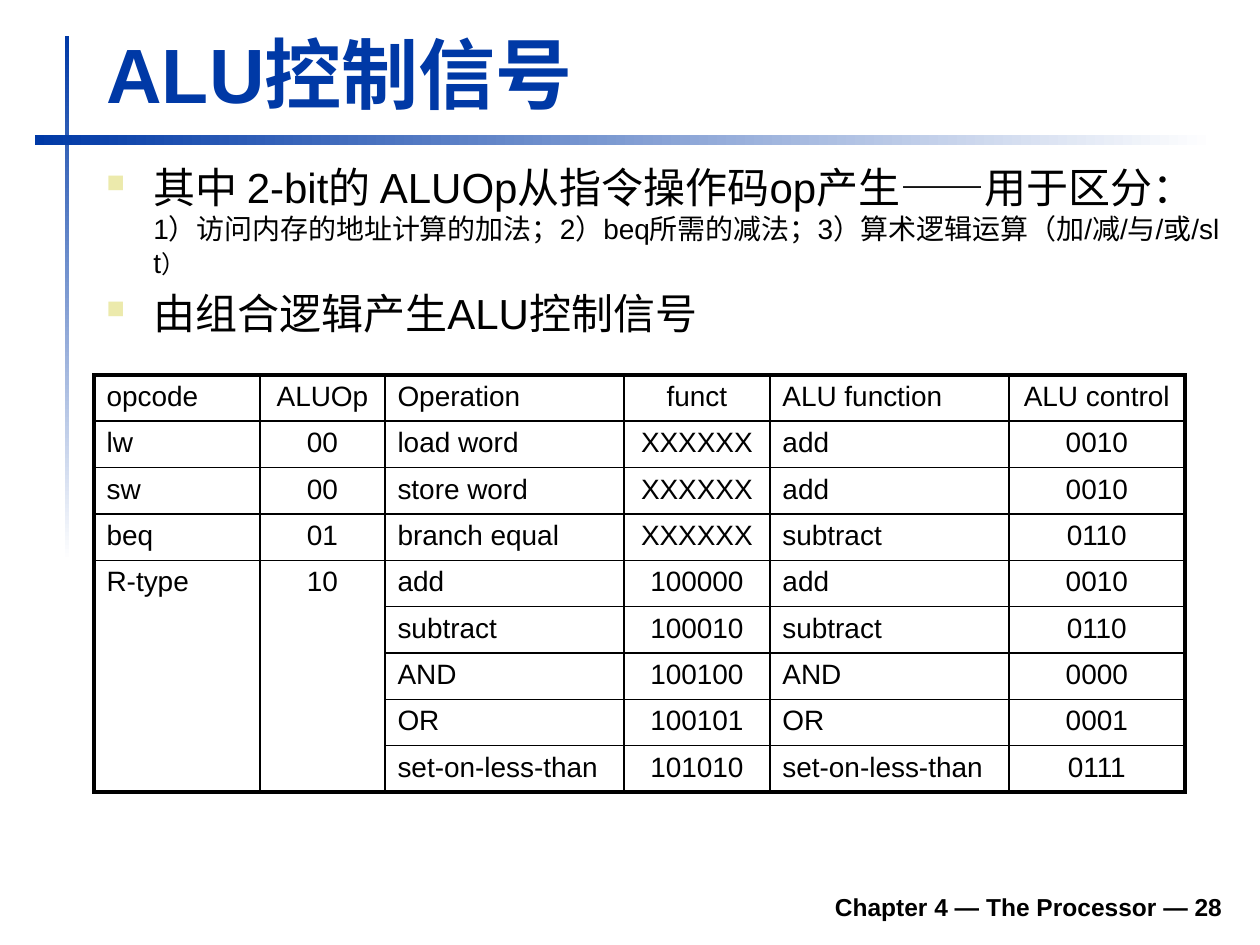
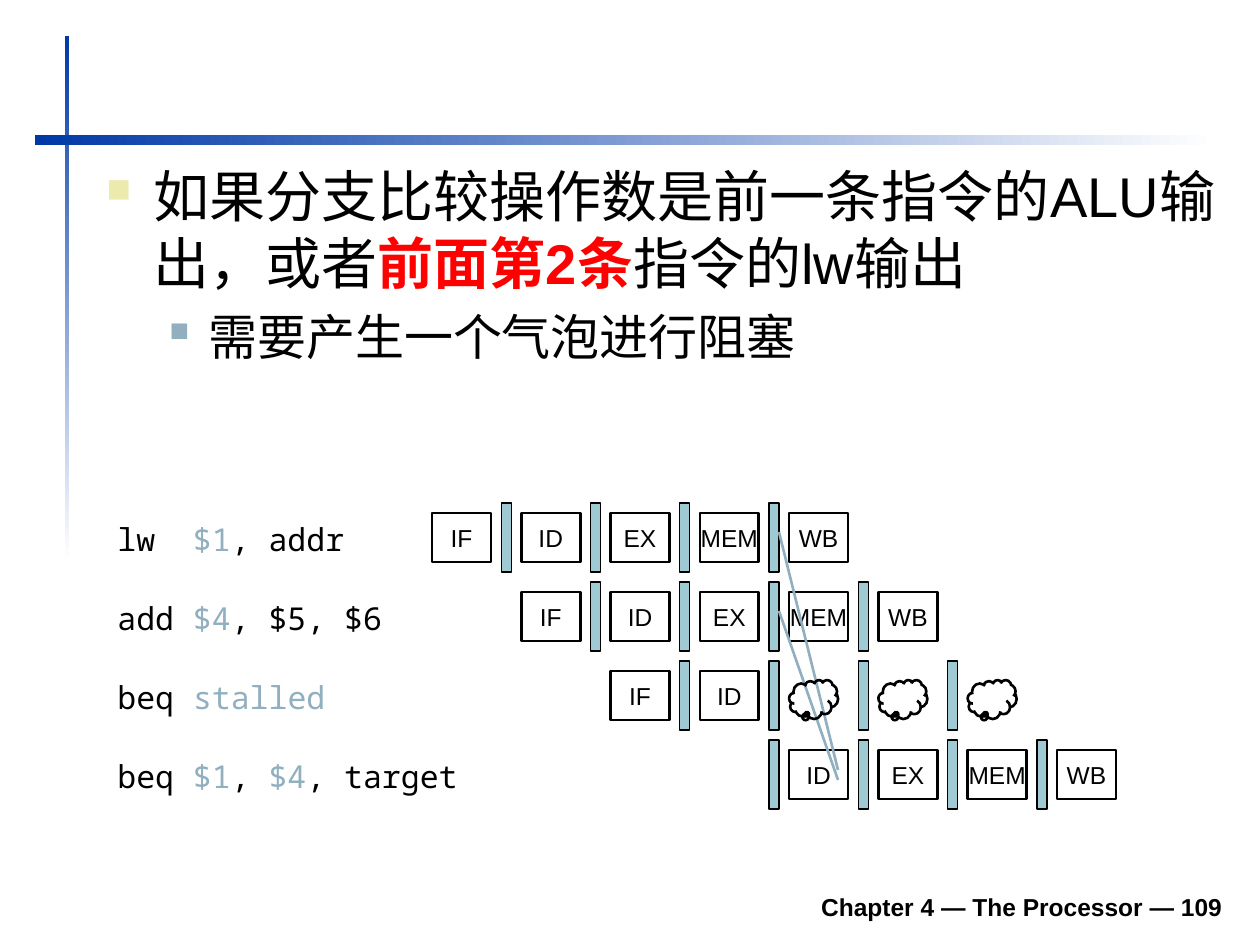
"""Build two processor slides: ALU control signals and a pipeline stall."""

from lxml.etree import SubElement
from pptx import Presentation
from pptx.dml.color import RGBColor
from pptx.enum.shapes import MSO_CONNECTOR, MSO_SHAPE
from pptx.enum.text import MSO_ANCHOR, MSO_AUTO_SIZE, PP_ALIGN
from pptx.oxml.ns import qn
from pptx.util import Pt

COLORS = {
    "text": "000000", "blue": "0039A6", "white": "FFFFFF", "alert": "FF0000",
    "bullet": "ECEAAC", "accent": "91AFBF", "register": "9FCAD3",
}
BODY_FONT = "Arial"
CODE_FONT = "Noto Sans Mono"
EMU_PER_PX = 914400 / 126

BULLET_LEVELS = [
    {"margin": 47, "hanging": 47, "color": "bullet", "size": 60},
    {"margin": 102, "hanging": 39, "color": "accent", "size": 55},
]

ALU_TITLE = "ALU控制信号"
ALU_FOOTER = "Chapter 4 — The Processor — 28"
ALU_BULLETS = [
    (0, [
        ("其中 2-bit的 ALUOp从指令操作码op产生——用于区分：", 24, "text", False),
        ("1）访问内存的地址计算的加法；2）beq所需的减法；3）算术逻辑运算（加/减/与/或/slt",
         16, "text", False),
        ("）", 14, "text", False),
    ]),
    (0, [("由组合逻辑产生ALU控制信号", 24, "text", False)]),
]
ALU_ROWS = [
    ("opcode", "ALUOp", "Operation", "funct", "ALU function", "ALU control"),
    ("lw", "00", "load word", "XXXXXX", "add", "0010"),
    ("sw", "00", "store word", "XXXXXX", "add", "0010"),
    ("beq", "01", "branch equal", "XXXXXX", "subtract", "0110"),
    ("R-type", "10", "add", "100000", "add", "0010"),
    ("", "", "subtract", "100010", "subtract", "0110"),
    ("", "", "AND", "100100", "AND", "0000"),
    ("", "", "OR", "100101", "OR", "0001"),
    ("", "", "set-on-less-than", "101010", "set-on-less-than", "0111"),
]
ALU_COLUMN_WIDTHS = [166, 125, 239, 146, 239, 176]
ALU_TABLE_TOP, ALU_TABLE_HEIGHT = 375, 417
R_TYPE_ROW = 4

STALL_FOOTER = "Chapter 4 — The Processor — 109"
STALL_BULLETS = [
    (0, [
        ("如果分支比较操作数是前一条指令的ALU输出，或者", 32, "text", False),
        ("前面第2条", 32, "alert", True),
        ("指令的lw输出", 32, "text", False),
    ]),
    (1, [("需要产生一个气泡进行阻塞", 28, "text", False)]),
]
BUBBLE = "bubble"
EMPTY = "empty"
PIPELINE = [
    ([("lw  ", "text"), ("$1", "accent"), (", addr", "text")],
     0, ["IF", "ID", "EX", "MEM", "WB"]),
    ([("add ", "text"), ("$4", "accent"), (", $5, $6", "text")],
     1, ["IF", "ID", "EX", "MEM", "WB"]),
    ([("beq ", "text"), ("stalled", "accent")],
     2, ["IF", "ID", BUBBLE, BUBBLE, BUBBLE]),
    ([("beq ", "text"), ("$1", "accent"), (", ", "text"), ("$4", "accent"),
      (", target", "text")],
     3, [EMPTY, "ID", "EX", "MEM", "WB"]),
]
FIRST_STAGE_LEFT, LAST_STAGE_LEFT, LAST_CYCLE = 432, 1057, 7
FIRST_ROW_TOP, ROW_PITCH = 513, 79
FORWARDS = [(779, 532, 838, 770), (779, 611, 838, 780)]


def px(*lengths):
    return [round(length * EMU_PER_PX) for length in lengths]


def rgb(name):
    return RGBColor.from_string(COLORS[name])


def add_run(paragraph, text, size, color="text", bold=False, font=BODY_FONT):
    run = paragraph.add_run()
    run.text = text
    run.font.name = font
    run.font.size = Pt(size)
    run.font.bold = bold
    run.font.color.rgb = rgb(color)


def add_text_frame(slide, box, anchor=MSO_ANCHOR.TOP, wrap=True, grow=False):
    frame = slide.shapes.add_textbox(*px(*box)).text_frame
    frame.word_wrap = wrap
    frame.vertical_anchor = anchor
    frame.auto_size = MSO_AUTO_SIZE.SHAPE_TO_FIT_TEXT if grow else MSO_AUTO_SIZE.NONE
    return frame


def add_outline(slide, preset, box, weight=None, fill=None):
    shape = slide.shapes.add_shape(preset, *px(*box))
    shape.shadow.inherit = False
    if fill:
        shape.fill.solid()
        shape.fill.fore_color.rgb = rgb(fill)
    else:
        shape.fill.background()
    if weight:
        shape.line.color.rgb = rgb("text")
        shape.line.width = Pt(weight)
    else:
        shape.line.fill.background()
    return shape


def add_fading_band(slide, box, angle):
    band = add_outline(slide, MSO_SHAPE.RECTANGLE, box)
    band.fill.gradient()
    band.fill.gradient_angle = angle
    for stop, color, position in zip(band.fill.gradient_stops, ("blue", "white"), (0, 1)):
        stop.color.rgb = rgb(color)
        stop.position = position


def add_slide(presentation, footer):
    slide = presentation.slides.add_slide(presentation.slide_layouts[6])
    add_fading_band(slide, (65, 36, 4, 525), 270)
    add_fading_band(slide, (35, 135, 1180, 10), 0)
    paragraph = add_text_frame(slide, (233, 879, 1002, 49), MSO_ANCHOR.BOTTOM).paragraphs[0]
    paragraph.alignment = PP_ALIGN.RIGHT
    add_run(paragraph, footer, 14, bold=True)
    return slide


def set_bullet(paragraph, level):
    style = BULLET_LEVELS[level]
    margin, hanging = px(style["margin"], style["hanging"])
    properties = paragraph._p.get_or_add_pPr()
    properties.set("marL", str(margin))
    properties.set("indent", str(-hanging))
    color = SubElement(properties, qn("a:buClr"))
    SubElement(color, qn("a:srgbClr"), val=COLORS[style["color"]])
    SubElement(properties, qn("a:buSzPct"), val=str(style["size"] * 1000))
    SubElement(properties, qn("a:buChar"), char="■")


def add_bullets(slide, bullets, height):
    frame = add_text_frame(slide, (94, 155, 1141, height))
    for index, (level, runs) in enumerate(bullets):
        paragraph = frame.add_paragraph() if index else frame.paragraphs[0]
        set_bullet(paragraph, level)
        paragraph.level = level
        if index:
            paragraph.space_before = Pt(round(runs[0][1] * 0.2))
        for text, size, color, bold in runs:
            add_run(paragraph, text, size, color, bold)


def set_borders(cell, weights):
    properties = cell._tc.get_or_add_tcPr()
    for tag, weight in weights.items():
        line = SubElement(properties, qn(f"a:{tag}"), w=str(Pt(weight)))
        fill = SubElement(line, qn("a:solidFill"))
        SubElement(fill, qn("a:srgbClr"), val=COLORS["text"])


def horizontal_weight(edge):
    if edge in (0, len(ALU_ROWS)):
        return 2.25
    return 1.5 if edge == 1 else 1


def vertical_weight(edge):
    return 2.25 if edge in (0, len(ALU_COLUMN_WIDTHS)) else 1


def add_alu_table(slide):
    row_count, column_count = len(ALU_ROWS), len(ALU_COLUMN_WIDTHS)
    box = px(94, ALU_TABLE_TOP, sum(ALU_COLUMN_WIDTHS), ALU_TABLE_HEIGHT)
    table = slide.shapes.add_table(row_count, column_count, *box).table
    table.first_row = table.horz_banding = False
    for column, width in zip(table.columns, px(*ALU_COLUMN_WIDTHS)):
        column.width = width
    for row in table.rows:
        row.height = box[3] // row_count
    for column in (0, 1):
        table.cell(R_TYPE_ROW, column).merge(table.cell(row_count - 1, column))
    for row, texts in enumerate(ALU_ROWS):
        for column, text in enumerate(texts):
            cell = table.cell(row, column)
            last_edge = row_count if cell.is_spanned else row + cell.span_height * cell.is_merge_origin
            bottom_edge = last_edge if last_edge > row else row + 1
            weights = {"lnL": vertical_weight(column), "lnR": vertical_weight(column + 1)}
            if not cell.is_spanned:
                weights["lnT"] = horizontal_weight(row)
            if not cell.is_spanned or row == row_count - 1:
                weights["lnB"] = horizontal_weight(bottom_edge)
            set_borders(cell, weights)
            cell.fill.background()
            if text:
                paragraph = cell.text_frame.paragraphs[0]
                paragraph.alignment = PP_ALIGN.CENTER if column % 2 else PP_ALIGN.LEFT
                add_run(paragraph, text, 16)


def add_stage(slide, label, left, top):
    stage = add_outline(slide, MSO_SHAPE.RECTANGLE, (left, top, 59, 49), 1.5)
    frame = stage.text_frame
    frame.word_wrap = False
    frame.vertical_anchor = MSO_ANCHOR.MIDDLE
    frame.paragraphs[0].alignment = PP_ALIGN.CENTER
    add_run(frame.paragraphs[0], label, 14)


def add_instruction(slide, parts, top):
    width = 25 + 19 * sum(len(text) for text, _ in parts)
    frame = add_text_frame(slide, (105, top, width, 50), wrap=False, grow=True)
    for text, color in parts:
        add_run(frame.paragraphs[0], text, 18, color, font=CODE_FONT)


def add_forward(slide, ends):
    connector = slide.shapes.add_connector(MSO_CONNECTOR.STRAIGHT, *px(*ends))
    connector.line.color.rgb = rgb("accent")
    connector.line.width = Pt(1.5)
    SubElement(connector._element.spPr, qn("a:effectLst"))


def add_pipeline(slide):
    cycle_pitch = (LAST_STAGE_LEFT - FIRST_STAGE_LEFT) / LAST_CYCLE
    bubbles = []
    for row, (parts, start, stages) in enumerate(PIPELINE):
        top = FIRST_ROW_TOP + row * ROW_PITCH
        add_instruction(slide, parts, top + 1)
        for offset, label in enumerate(stages):
            left = FIRST_STAGE_LEFT + (start + offset) * cycle_pitch
            if offset:
                add_outline(slide, MSO_SHAPE.RECTANGLE, (left - 20, top - 10, 10, 69),
                            0.75, "register")
            if label == BUBBLE:
                bubbles.append((left, top + 9, 49, 39))
            elif label != EMPTY:
                add_stage(slide, label, left, top)
    for ends in FORWARDS:
        add_forward(slide, ends)
    for box in bubbles:
        cloud = add_outline(slide, MSO_SHAPE.CLOUD_CALLOUT, box, 1.5)
        cloud.adjustments[0], cloud.adjustments[1] = -0.13, 0.36


def build_alu_slide(presentation):
    slide = add_slide(presentation, ALU_FOOTER)
    title = add_text_frame(slide, (94, 20, 1138, 105), MSO_ANCHOR.BOTTOM, grow=True)
    add_run(title.paragraphs[0], ALU_TITLE, 44, "blue", True)
    add_bullets(slide, ALU_BULLETS, 704)
    add_alu_table(slide)


def build_stall_slide(presentation):
    slide = add_slide(presentation, STALL_FOOTER)
    add_bullets(slide, STALL_BULLETS, 328)
    add_pipeline(slide)


def main():
    presentation = Presentation()
    presentation.slide_width, presentation.slide_height = px(1260, 945)
    build_alu_slide(presentation)
    build_stall_slide(presentation)
    presentation.save("out.pptx")


if __name__ == "__main__":
    main()
